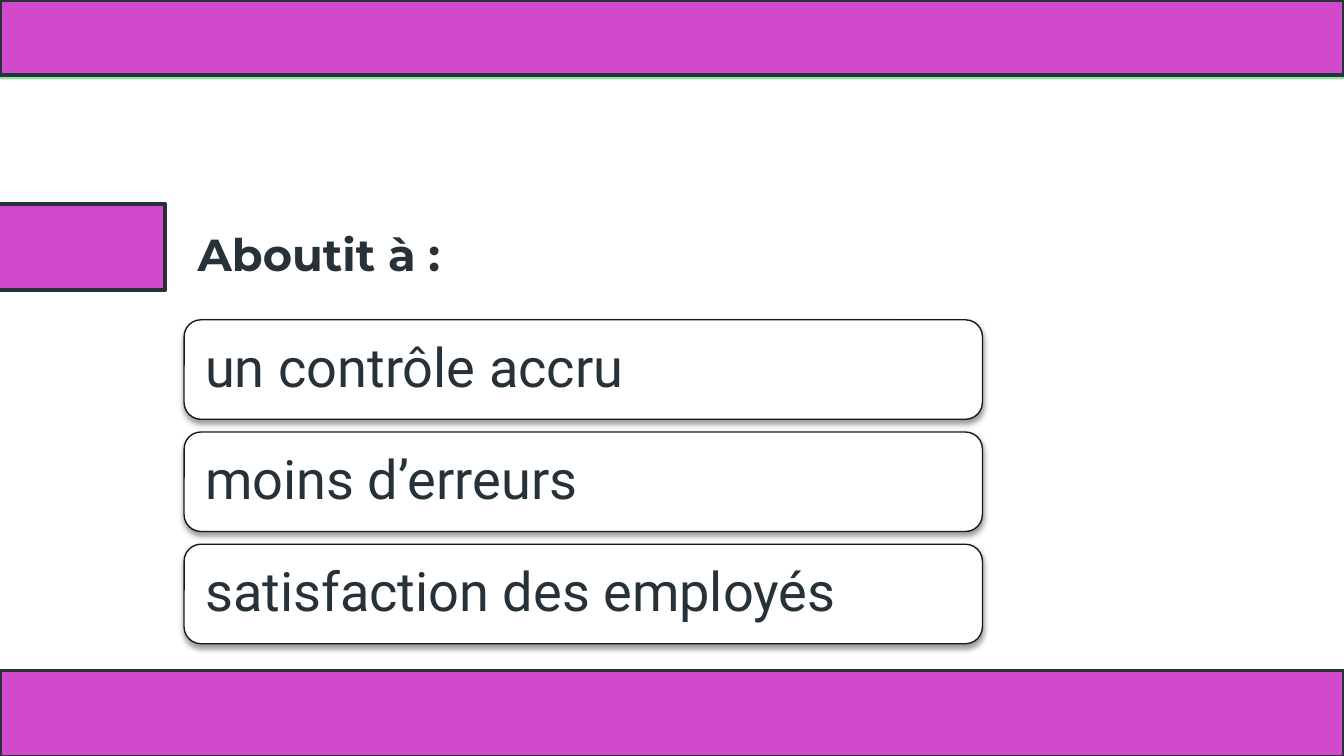
from lxml import etree
from pptx import Presentation
from pptx.dml.color import RGBColor
from pptx.enum.shapes import MSO_SHAPE
from pptx.enum.text import MSO_ANCHOR, PP_ALIGN
from pptx.oxml.ns import qn
from pptx.util import Inches, Pt

RECT, ROUNDED = MSO_SHAPE.RECTANGLE, MSO_SHAPE.ROUNDED_RECTANGLE
MIDDLE, LEFT = MSO_ANCHOR.MIDDLE, PP_ALIGN.LEFT

WIDTH = 10
HEIGHT = WIDTH * 9 / 16
COLORS = {"band": "D24ACC", "accent": "92E3A9", "ink": "263238",
          "card": "FFFFFF", "edge": "181818", "shadow": "000000"}
CARDS = ["un contrôle accru", "moins d’erreurs", "satisfaction des employés"]
CARD_LEFT, CARD_TOP, CARD_BOTTOM = 1.37, 2.38, 4.79
CARD_W, CARD_H = 5.94, 0.74
CARD_PITCH = (CARD_BOTTOM - CARD_TOP - CARD_H) / (len(CARDS) - 1)


def rgb(name):
    """Return the named colour."""
    return RGBColor.from_string(COLORS[name])


def add_box(slide, kind, box, fill, line=None, weight=2):
    """Add a filled shape with an optional outline."""
    s = slide.shapes.add_shape(kind, *(Inches(v) for v in box))
    s.shadow.inherit = False
    s.fill.solid()
    s.fill.fore_color.rgb = rgb(fill)
    if line:
        s.line.color.rgb = rgb(line)
        s.line.width = Pt(weight)
    else:
        s.line.fill.background()
    return s


def add_shadow(s):
    """Give a shape a soft shadow below it."""
    effects = s._element.spPr.find(qn("a:effectLst"))
    outer = etree.SubElement(effects, qn("a:outerShdw"), blurRad=str(Pt(3.1)),
                             dist=str(Pt(1.6)), dir="5400000", rotWithShape="0")
    color = etree.SubElement(outer, qn("a:srgbClr"), val=COLORS["shadow"])
    etree.SubElement(color, qn("a:alpha"), val="38000")


def write(s, text, font, size, inset, bold=False):
    """Write one left-aligned line, centred vertically in the shape."""
    tf = s.text_frame
    tf.word_wrap = True
    tf.vertical_anchor = MIDDLE
    tf.margin_left = tf.margin_right = Inches(inset)
    tf.margin_top = tf.margin_bottom = Inches(inset)
    p = tf.paragraphs[0]
    p.alignment = LEFT
    r = p.add_run()
    r.text = text
    r.font.name, r.font.size, r.font.bold = font, Pt(size), bold
    r.font.color.rgb = rgb("ink")
    return p


def add_card(slide, row, text):
    """Add the rounded card of the given row."""
    box = (CARD_LEFT, CARD_TOP + row * CARD_PITCH, CARD_W, CARD_H)
    s = add_box(slide, ROUNDED, box, "card", "edge", 0.75)
    s.adjustments[0] = 0.17
    add_shadow(s)
    write(s, text, "Roboto", 29, 0.12).line_spacing = 0.9


def add_title(slide, text):
    """Move the title placeholder and fill it."""
    s = slide.shapes.title
    s.left, s.top = Inches(CARD_LEFT), Inches(1.57)
    s.width, s.height = Inches(3.63), Inches(0.63)
    write(s, text, "Montserrat", 24, 0.1, bold=True)


def main():
    """Build the slide and save it."""
    prs = Presentation()
    prs.slide_width, prs.slide_height = Inches(WIDTH), Inches(HEIGHT)
    slide = prs.slides.add_slide(prs.slide_layouts[5])
    add_box(slide, RECT, (0, 0, WIDTH, 0.59), "accent")
    for row, text in enumerate(CARDS):
        add_card(slide, row, text)
    add_title(slide, "Aboutit à :")
    for box in [(0, 0, WIDTH, 0.56), (-0.86, 1.52, 2.09, 0.64),
                (0, 4.99, WIDTH, 0.64)]:
        add_box(slide, RECT, box, "band", "ink")
    prs.save("out.pptx")


if __name__ == "__main__":
    main()
